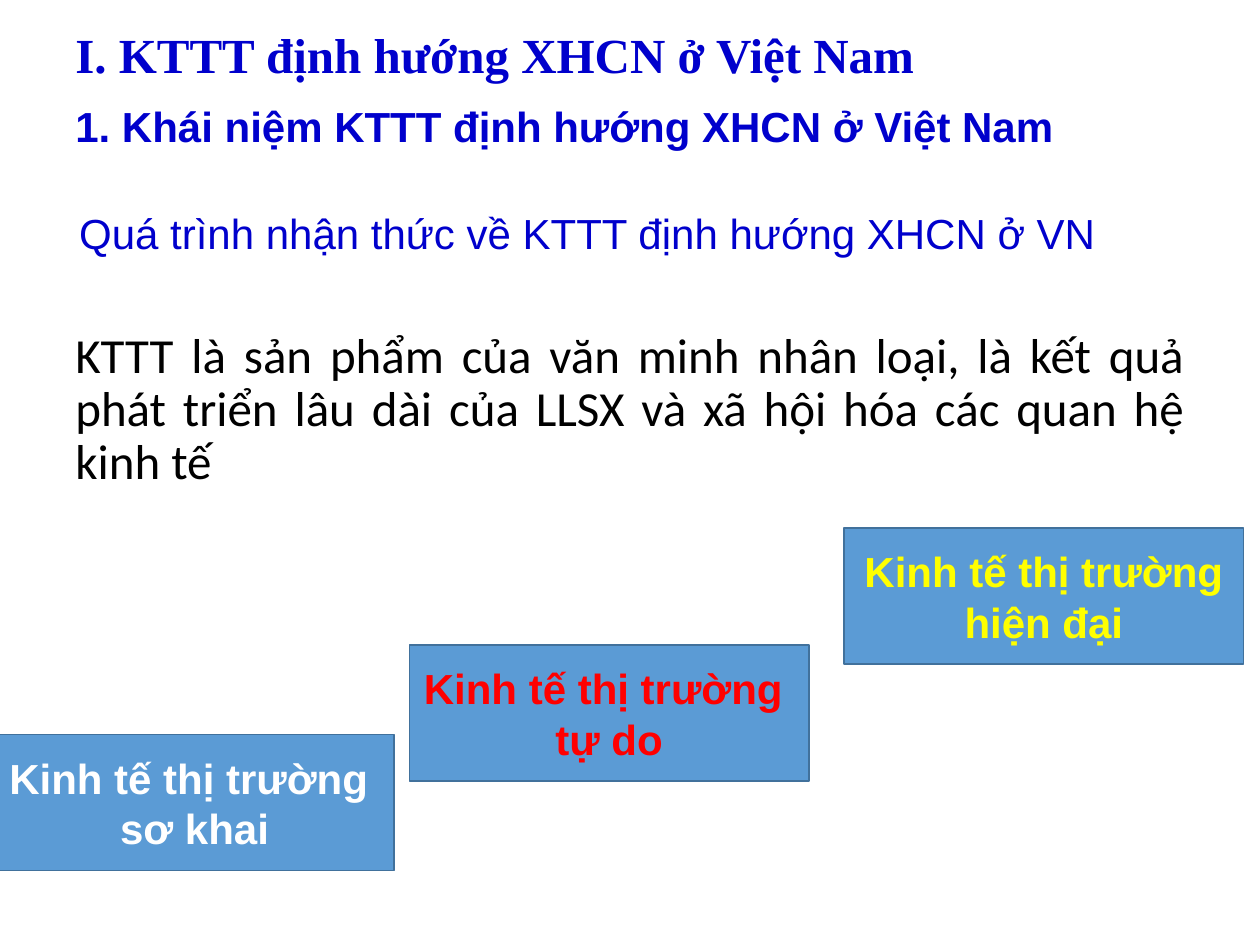
from pptx import Presentation
from pptx.dml.color import RGBColor
from pptx.enum.shapes import MSO_SHAPE
from pptx.enum.text import MSO_ANCHOR, MSO_AUTO_SIZE, PP_ALIGN
from pptx.util import Inches, Pt

BLUE = RGBColor(0x00, 0x00, 0xCC)
BLACK = RGBColor(0x00, 0x00, 0x00)
WHITE = RGBColor(0xFF, 0xFF, 0xFF)
RED = RGBColor(0xFF, 0x00, 0x00)
YELLOW = RGBColor(0xFF, 0xFF, 0x00)
BOX_FILL = RGBColor(0x5B, 0x9B, 0xD5)
BOX_LINE = RGBColor(0x41, 0x71, 0x9C)
RECTANGLE = MSO_SHAPE.RECTANGLE
TOP, MIDDLE = MSO_ANCHOR.TOP, MSO_ANCHOR.MIDDLE
LEFT, CENTER, JUSTIFY = PP_ALIGN.LEFT, PP_ALIGN.CENTER, PP_ALIGN.JUSTIFY
GROW = MSO_AUTO_SIZE.SHAPE_TO_FIT_TEXT

BOX_SIZE = (3.17, 1.08)
STAGES = [
    (-0.04, 5.83, ["Kinh tế thị trường ", "sơ khai"], WHITE),
    (3.25, 5.12, ["Kinh tế thị trường ", "tự do"], RED),
    (6.7, 4.19, ["Kinh tế thị trường hiện đại"], YELLOW),
]


def write(tf, lines, color, size=24, font="Arial", bold=False, align=LEFT, spacing=1.0):
    """Fill a text frame with one formatted paragraph per line."""
    tf.word_wrap = True
    for i, line in enumerate(lines):
        p = tf.add_paragraph() if i else tf.paragraphs[0]
        p.alignment = align
        p.line_spacing = spacing
        r = p.add_run()
        r.text = line
        r.font.name = font
        r.font.size = Pt(size)
        r.font.bold = bold
        r.font.color.rgb = color


def add_text(s, box, text, color, anchor=TOP, grow=False, **style):
    """Add a text box holding a single paragraph."""
    tf = s.shapes.add_textbox(*map(Inches, box)).text_frame
    tf.vertical_anchor = anchor
    write(tf, [text], color, **style)
    if grow:
        tf.auto_size = GROW


def add_stage(s, left, top, lines, color):
    """Add a filled box naming one stage of the market economy."""
    sp = s.shapes.add_shape(RECTANGLE, *map(Inches, (left, top, *BOX_SIZE)))
    sp.shadow.inherit = False
    sp.fill.solid()
    sp.fill.fore_color.rgb = BOX_FILL
    sp.line.color.rgb = BOX_LINE
    sp.line.width = Pt(1)
    sp.text_frame.vertical_anchor = MIDDLE
    write(sp.text_frame, lines, color, bold=True, align=CENTER)


def main():
    """Build the slide and save it."""
    prs = Presentation()
    prs.slide_width, prs.slide_height = Inches(10), Inches(7.5)
    s = prs.slides.add_slide(prs.slide_layouts[6])
    add_text(s, (0.5, 0.17, 9, 0.58), "I. KTTT định hướng XHCN ở Việt Nam", BLUE,
             anchor=MIDDLE, size=28, font="Times New Roman", bold=True, spacing=0.9)
    add_text(s, (0.5, 2.58, 9, 1.58),
             "KTTT là sản phẩm của văn minh nhân loại, là kết quả phát triển lâu dài "
             "của LLSX và xã hội hóa các quan hệ kinh tế", BLACK,
             size=28, font="Calibri", align=JUSTIFY, spacing=0.9)
    add_text(s, (0.5, 0.75, 8.67, 0.5), "1. Khái niệm KTTT định hướng XHCN ở Việt Nam ",
             BLUE, grow=True, bold=True, align=JUSTIFY)
    for stage in STAGES:
        add_stage(s, *stage)
    add_text(s, (0.53, 1.6, 8.92, 0.5), "Quá trình nhận thức về KTTT định hướng XHCN ở VN",
             BLUE, grow=True)
    prs.save("out.pptx")


if __name__ == "__main__":
    main()
